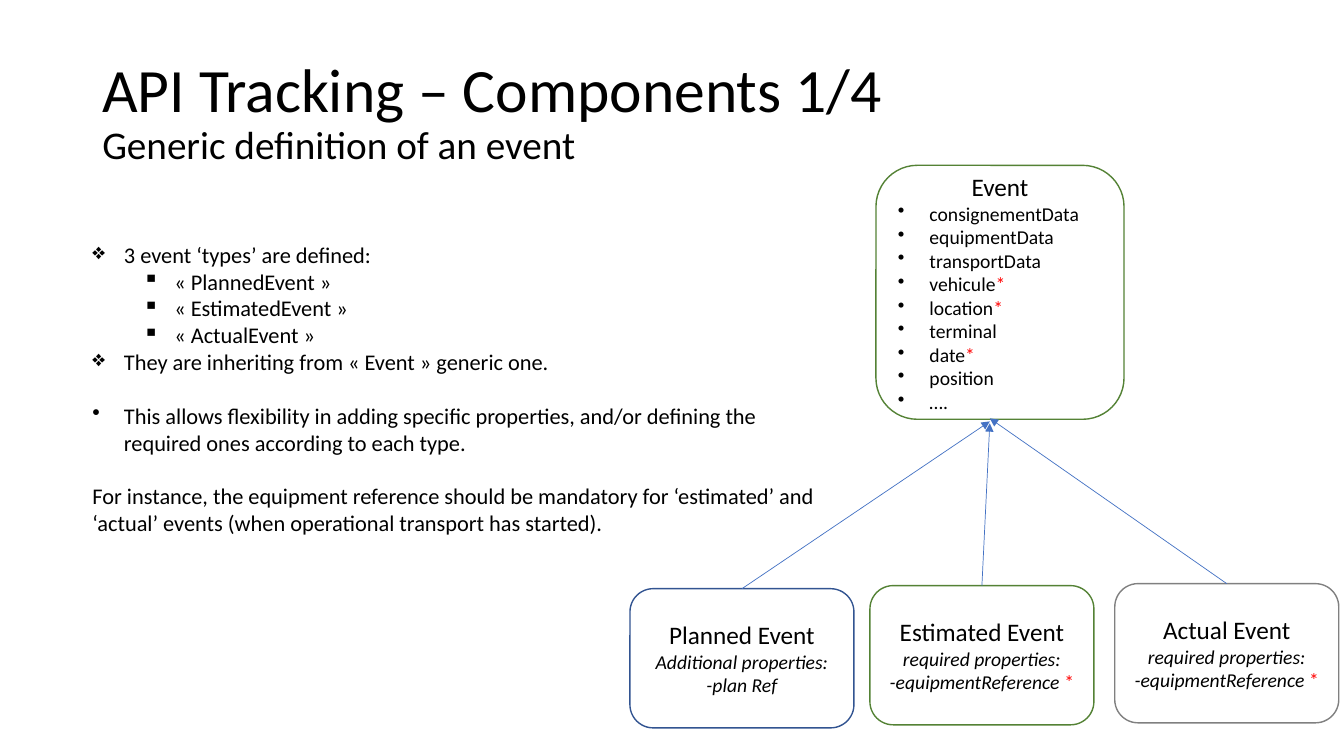
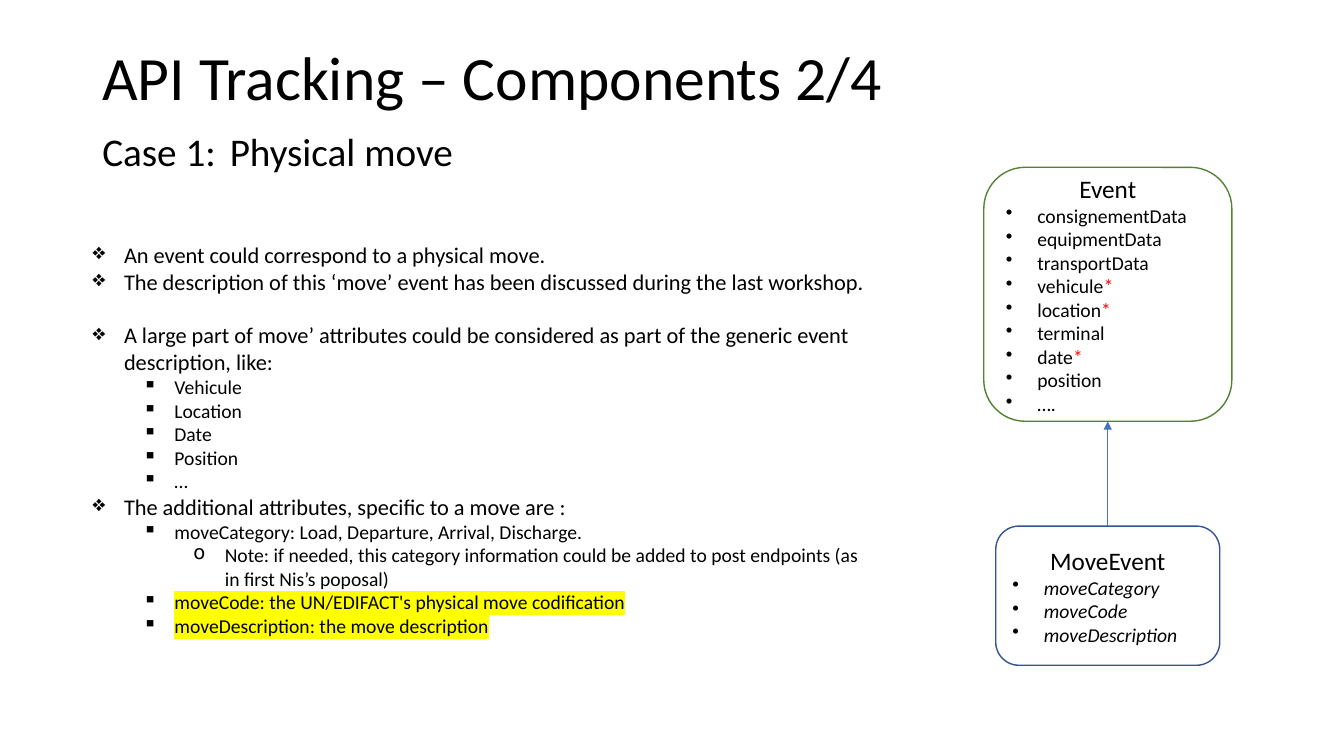
from dataclasses import dataclass

from lxml import etree
from pptx import Presentation
from pptx.dml.color import RGBColor
from pptx.enum.shapes import MSO_CONNECTOR, MSO_SHAPE
from pptx.enum.text import MSO_ANCHOR, PP_ALIGN
from pptx.oxml.ns import qn
from pptx.util import Pt

DIAMOND, SQUARE, DOT, CIRCLE = "❖", "▪", "•", "o"
BLANK_LINE = 19.2
BLUE, GREEN, GRAY = "325491", "548235", "808080"


def color(value):
    """Turn a hex string into a colour."""
    return RGBColor.from_string(value)


@dataclass
class Line:
    """One paragraph of a text block; an asterisk in it is shown in red."""
    text: str
    bullet: str = ""
    depth: int = 0
    size: float = 16
    italic: bool = False
    centered: bool = False
    before: float = 0
    highlight: str = ""


class Deck:
    """Shared style, the current slide and one method per kind of element."""
    font = "Calibri"
    ink = "000000"
    required = "FF0000"
    arrow_color = "4472C4"
    hanging = 22.5
    step = 36
    child_size = (160, 99.4)
    event_size = (177.2, 181.4)

    def __init__(self):
        """Start an empty widescreen presentation."""
        self.prs = Presentation()
        self.prs.slide_width, self.prs.slide_height = Pt(960), Pt(540)
        self.slide = None

    def new_slide(self, title, subtitle):
        """Add a slide with a title and its (text, size) subtitle runs."""
        self.slide = self.prs.slides.add_slide(self.prs.slide_layouts[6])
        frame = self.text_box(66, 28.8, 828, 104.4)
        frame.vertical_anchor = MSO_ANCHOR.MIDDLE
        heading = frame.paragraphs[0]
        heading.line_spacing = 0.9
        self.run(heading, title, 44)
        heading.add_line_break()
        for text, size in subtitle:
            self.run(heading, text, size)

    def text_box(self, left, top, width, height):
        """Add a wrapping text box and return its frame."""
        box = self.slide.shapes.add_textbox(Pt(left), Pt(top), Pt(width), Pt(height))
        box.text_frame.word_wrap = True
        return box.text_frame

    def run(self, paragraph, text, size, italic=False, ink=None, highlight=""):
        """Append a styled run to a paragraph."""
        run = paragraph.add_run()
        run.text = text
        run.font.size = Pt(size)
        run.font.italic = italic
        run.font.color.rgb = color(ink or self.ink)
        run.font.name = self.font
        if highlight:
            mark = etree.Element(qn("a:highlight"))
            etree.SubElement(mark, qn("a:srgbClr"), val=highlight)
            run.font.element.find(qn("a:solidFill")).addnext(mark) if hasattr(run.font, "element") \
                else run._r.rPr.find(qn("a:solidFill")).addnext(mark)

    def fill_text(self, frame, lines):
        """Write lines into a text frame."""
        for number, line in enumerate(lines):
            paragraph = frame.add_paragraph() if number else frame.paragraphs[0]
            paragraph.alignment = PP_ALIGN.CENTER if line.centered else PP_ALIGN.LEFT
            paragraph.space_before = Pt(line.before)
            if line.bullet:
                self.bullet(paragraph, line.bullet, line.depth)
            plain, star, _ = line.text.partition("*")
            self.run(paragraph, plain, line.size, line.italic, highlight=line.highlight)
            if star:
                self.run(paragraph, star, line.size, ink=self.required)

    def bullet(self, paragraph, char, depth):
        """Give a paragraph a hanging bullet at the given depth."""
        paragraph.level = depth
        props = paragraph._p.get_or_add_pPr()
        props.set("marL", str(Pt(self.hanging + depth * self.step)))
        props.set("indent", str(-Pt(self.hanging)))
        etree.SubElement(props, qn("a:buChar"), char=char)

    def body(self, width, height, lines):
        """Add the main text block."""
        self.fill_text(self.text_box(59, 168.5, width, height), lines)

    def card(self, left, top, size, outline, name, lines):
        """Add a rounded card with a centred name above its lines."""
        width, height = size
        shape = self.slide.shapes.add_shape(
            MSO_SHAPE.ROUNDED_RECTANGLE, Pt(left), Pt(top), Pt(width), Pt(height))
        shape.shadow.inherit = False
        shape.fill.background()
        shape.line.color.rgb = color(outline)
        shape.line.width = Pt(1)
        shape.text_frame.vertical_anchor = MSO_ANCHOR.MIDDLE
        self.fill_text(shape.text_frame, [Line(name, size=18, centered=True)] + lines)

    def event_card(self, left, top):
        """Add the generic event card."""
        fields = ["consignementData", "equipmentData", "transportData", "vehicule*",
                  "location*", "terminal", "date*", "position", "…."]
        self.card(left, top, self.event_size, GREEN, "Event",
                  [Line(field, DOT, size=14) for field in fields])

    def arrow(self, start, end):
        """Add a thin arrow from start to end."""
        line = self.slide.shapes.add_connector(
            MSO_CONNECTOR.STRAIGHT, *(Pt(value) for value in start + end))
        line.line.color.rgb = color(self.arrow_color)
        line.line.width = Pt(0.5)
        props = line._element.spPr
        etree.SubElement(props.find(qn("a:ln")), qn("a:tailEnd"), type="triangle")
        etree.SubElement(props, qn("a:effectLst"))


deck = Deck()
half_child = deck.child_size[0] / 2

deck.new_slide("API Tracking – Components 1/4", [("Generic definition of an event", 28)])
reference = ["required properties:", "-equipmentReference *"]
children = [
    (450, 420.5, BLUE, "Planned Event", ["Additional properties:", "-plan Ref"], 301),
    (621.4, 418.3, GREEN, "Estimated Event", reference, 302.4),
    (796.3, 416.9, GRAY, "Actual Event", reference, 298.8),
]
deck.event_card(625.7, 118.1)
for left, top, outline, name, properties, tip in children:
    deck.card(left, top, deck.child_size, outline, name,
              [Line(text, size=14, italic=True, centered=True) for text in properties])
    deck.arrow((left + half_child, top), (707, tip))
deck.body(535, 220.3, [
    Line("3 event ‘types’ are defined:", DIAMOND),
    *(Line(f"«\u00a0{kind}Event\u00a0»", SQUARE, 1) for kind in ("Planned", "Estimated", "Actual")),
    Line("They are inheriting from «\u00a0Event\u00a0» generic one.", DIAMOND),
    Line("This allows flexibility in adding specific properties, and/or defining the "
         "required ones according to each type.", DOT, before=BLANK_LINE),
    Line("For instance, the equipment reference should be mandatory for ‘estimated’ and "
         "‘actual’ events (when operational transport has started).", before=BLANK_LINE),
])

deck.new_slide("API Tracking – Components 2/4", [("Case 1:", 28), (" ", 44), ("Physical move", 28)])
deck.card(711.3, 375.8, deck.child_size, BLUE, "MoveEvent",
          [Line(field, DOT, size=14, italic=True)
           for field in ("moveCategory", "moveCode", "moveDescription")])
deck.event_card(702.7, 119.5)
deck.arrow((711.3 + half_child, 375.8), (711.3 + half_child, 301))
deck.body(572.4, 293, [
    Line("An event could correspond to a physical move.", DIAMOND),
    Line("The description of this ‘move’ event has been discussed during the last workshop.", DIAMOND),
    Line("A large part of move’ attributes could be considered as part of the generic event "
         "description, like:", DIAMOND, before=BLANK_LINE),
    *(Line(field, SQUARE, 1, 14) for field in ("Vehicule", "Location", "Date", "Position", "…")),
    Line("The additional attributes, specific to a move are :", DIAMOND),
    Line("moveCategory: Load, Departure, Arrival, Discharge.", SQUARE, 1, 14),
    Line("Note: if needed, this category information could be added to post endpoints "
         "(as in first Nis’s poposal)", CIRCLE, 2, 14),
    *(Line(text, SQUARE, 1, 14, highlight="FFFF00")
      for text in ("moveCode: the UN/EDIFACT's physical move codification",
                   "moveDescription: the move description")),
])

deck.prs.save("out.pptx")
